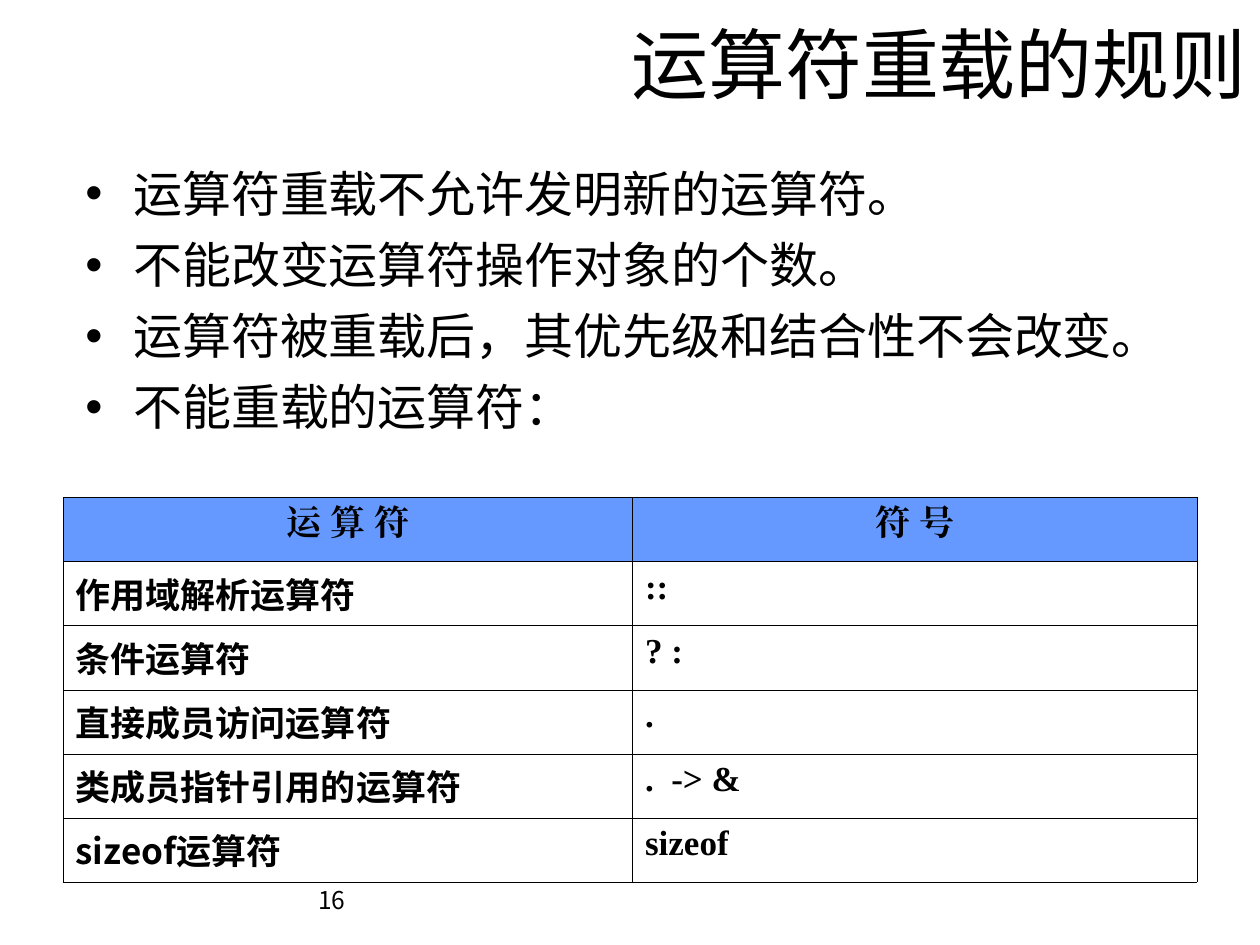
from lxml import etree
from pptx import Presentation
from pptx.dml.color import RGBColor
from pptx.enum.text import MSO_ANCHOR, PP_ALIGN
from pptx.oxml.ns import qn
from pptx.util import Inches, Pt

COLORS = {"text": "000000", "border": "000000", "header": "6699FF"}
SANS, SERIF, CJK = "Arial", "Times New Roman", "Noto Sans CJK SC"

RULES = [
    "运算符重载不允许发明新的运算符。",
    "不能改变运算符操作对象的个数。",
    "运算符被重载后，其优先级和结合性不会改变。",
    "不能重载的运算符：",
]
OPERATORS = [
    ("运 算 符", "符 号"),
    ("作用域解析运算符", "::"),
    ("条件运算符", "? :"),
    ("直接成员访问运算符", "."),
    ("类成员指针引用的运算符", ".  -> &"),
    ("sizeof运算符", "sizeof"),
]


def format_paragraph(paragraph, font_name, size, bold=False, align=PP_ALIGN.LEFT):
    """Style all runs, using one font for Latin and East Asian text."""
    paragraph.alignment = align
    for run in paragraph.runs:
        run.font.name = font_name
        run.font.size = Pt(size)
        run.font.bold = bold
        run.font.color.rgb = RGBColor.from_string(COLORS["text"])
        east_asian = etree.Element(qn("a:ea"), typeface=font_name)
        run.font._element.find(qn("a:latin")).addnext(east_asian)


def add_text_frame(slide, left, top, width, height):
    box = slide.shapes.add_textbox(
        Inches(left), Inches(top), Inches(width), Inches(height))
    box.text_frame.word_wrap = True
    return box.text_frame


def add_line(slide, text, position, font_name, size):
    """Add one right-aligned, vertically centred line of text."""
    text_frame = add_text_frame(slide, *position)
    text_frame.text = text
    text_frame.vertical_anchor = MSO_ANCHOR.MIDDLE
    format_paragraph(text_frame.paragraphs[0], font_name, size, align=PP_ALIGN.RIGHT)


def add_bullets(slide, items, position):
    text_frame = add_text_frame(slide, *position)
    text_frame.text = "\n".join(items)
    for index, paragraph in enumerate(text_frame.paragraphs):
        properties = paragraph._p.get_or_add_pPr()
        properties.set("marL", str(Inches(0.38)))
        properties.set("indent", str(-Inches(0.38)))
        etree.SubElement(properties, qn("a:buFont"), typeface=SANS)
        etree.SubElement(properties, qn("a:buChar"), char="•")
        format_paragraph(paragraph, SANS, 28)
        paragraph.space_before = Pt(7 if index else 0)


def set_borders(cell):
    properties = cell._tc.get_or_add_tcPr()
    for position, side in enumerate(("lnL", "lnR", "lnT", "lnB")):
        line = etree.Element(qn(f"a:{side}"), w=str(Pt(0.4)))
        fill = etree.SubElement(line, qn("a:solidFill"))
        etree.SubElement(fill, qn("a:srgbClr"), val=COLORS["border"])
        properties.insert(position, line)


def add_operator_table(slide, rows):
    table = slide.shapes.add_table(
        len(rows), 2, Inches(0.5), Inches(3.95), Inches(9), Inches(3.05)).table
    for column, width in zip(table.columns, (4.52, 4.48)):
        column.width = Inches(width)
    for row_index, row in enumerate(rows):
        is_header = row_index == 0
        for column_index, text in enumerate(row):
            cell = table.cell(row_index, column_index)
            cell.text = text
            if is_header:
                cell.fill.solid()
                cell.fill.fore_color.rgb = RGBColor.from_string(COLORS["header"])
            else:
                cell.fill.background()
            set_borders(cell)
            font_name = CJK if column_index == 0 and not is_header else SERIF
            align = PP_ALIGN.CENTER if is_header else PP_ALIGN.LEFT
            format_paragraph(cell.text_frame.paragraphs[0], font_name, 20, True, align)


def main():
    presentation = Presentation()
    presentation.slide_width = Inches(10)
    presentation.slide_height = Inches(7.5)
    slide = presentation.slides.add_slide(presentation.slide_layouts[6])
    add_line(slide, "16", (0.5, 6.98, 2.34, 0.32), CJK, 14)
    add_line(slide, "运算符重载的规则", (1, 0, 9, 0.99), SANS, 44)
    add_bullets(slide, RULES, (0.58, 1.25, 9, 2.4))
    add_operator_table(slide, OPERATORS)
    presentation.save("out.pptx")


if __name__ == "__main__":
    main()
